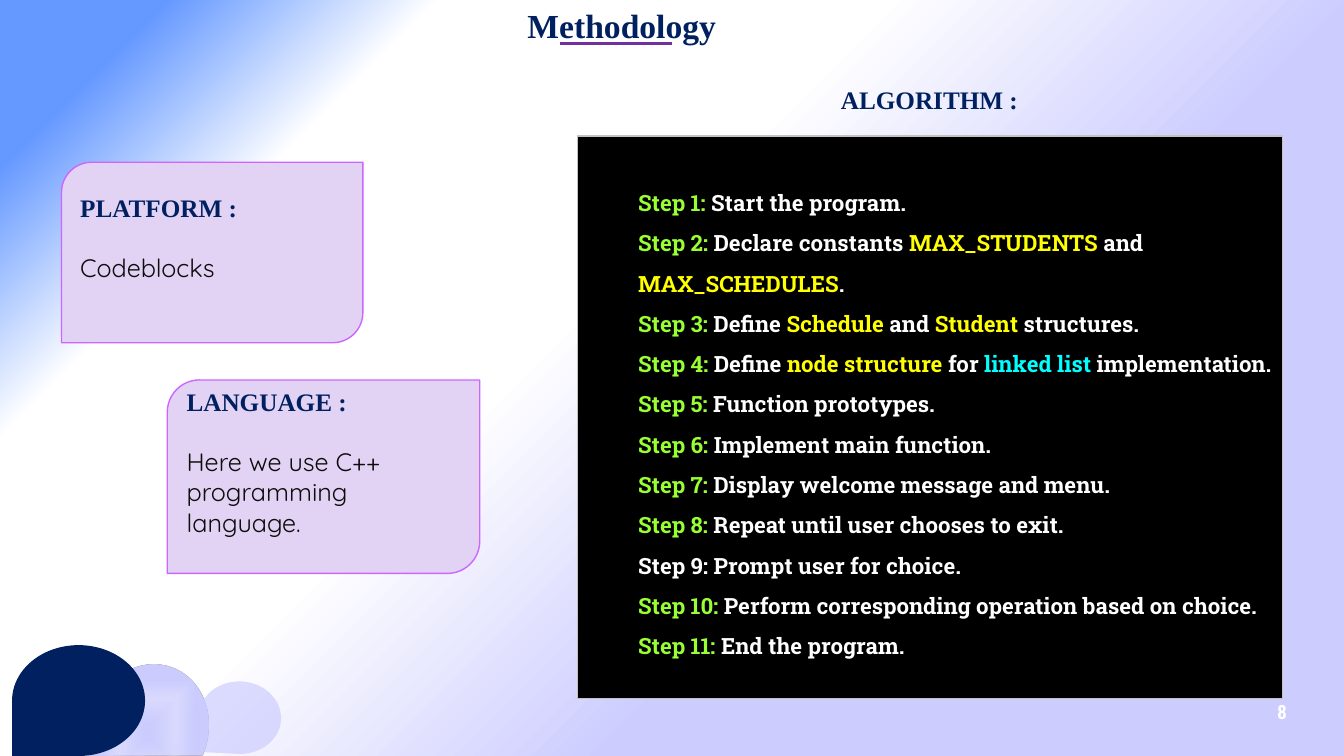
"""Build the Methodology slide: platform and language cards beside the algorithm steps."""
from dataclasses import dataclass

from lxml.etree import SubElement
from pptx import Presentation
from pptx.dml.color import RGBColor
from pptx.enum.shapes import MSO_CONNECTOR, MSO_SHAPE
from pptx.enum.text import MSO_ANCHOR, PP_ALIGN
from pptx.oxml.ns import qn
from pptx.util import Pt


@dataclass(frozen=True)
class Theme:
    navy: str = "002060"
    deep_navy: str = "001F5E"
    lavender: str = "CCCCFF"
    sky: str = "6699FF"
    white: str = "FFFFFF"
    black: str = "000000"
    panel_edge: str = "C3C1C1"
    card: str = "E2D3F5"
    card_edge: str = "CC66FF"
    underline: str = "7030A0"
    body: str = "0D0D0D"
    green: str = "99FF33"
    yellow: str = "FFFF00"
    cyan: str = "00FFFF"
    heading_font: str = "Times New Roman"
    body_font: str = "Quicksand"
    step_font: str = "Roboto Slab"
    number_font: str = "Roboto Condensed"
    title_size: int = 24
    text_size: int = 18
    step_size: int = 16
    number_size: int = 14


theme = Theme()


def style_run(run, font, size, color, bold=True):
    run.font.name = font
    run.font.size = Pt(size)
    run.font.bold = bold
    run.font.color.rgb = RGBColor.from_string(color)


def set_gradient(properties, stops, path, focus):
    solid = properties.find(qn("a:solidFill"))
    gradient = SubElement(properties, qn("a:gradFill"), rotWithShape="1")
    properties.replace(solid, gradient)
    stop_list = SubElement(gradient, qn("a:gsLst"))
    for position, color, opacity in stops:
        stop = SubElement(stop_list, qn("a:gs"), pos=str(position * 1000))
        tone = SubElement(stop, qn("a:srgbClr"), val=color)
        if opacity < 100:
            SubElement(tone, qn("a:alpha"), val=str(opacity * 1000))
    path_fill = SubElement(gradient, qn("a:path"), path=path)
    edges = {edge: str(share * 1000) for edge, share in zip("ltrb", focus)}
    SubElement(path_fill, qn("a:fillToRect"), **edges)


presentation = Presentation()
presentation.slide_width, presentation.slide_height = Pt(960), Pt(540)
slide = presentation.slides.add_slide(presentation.slide_layouts[6])
shapes = slide.shapes

slide.background.fill.solid()
slide.background.fill.fore_color.rgb = RGBColor.from_string(theme.white)
set_gradient(
    slide.element.find(".//" + qn("p:bgPr")),
    [(3, theme.lavender, 100), (35, theme.lavender, 71), (58, theme.white, 100),
     (71, theme.white, 100), (79, theme.white, 100), (92, theme.sky, 63), (100, theme.sky, 52)],
    "circle", (100, 100, 0, 0),
)

petals = []
for preset, box, rotation, color in [
    (MSO_SHAPE.CHORD, (56.2, 480.2, 97.9, 85), 113, theme.lavender),
    (MSO_SHAPE.TEAR, (8.6, 460.8, 95, 79.2), 180, theme.navy),
    (MSO_SHAPE.TEAR, (141.8, 486.7, 59, 51.8), 182.8, theme.lavender),
]:
    petal = shapes.add_shape(preset, *map(Pt, box))
    petal.shadow.inherit = False
    petal.rotation = rotation
    petal.fill.solid()
    petal.fill.fore_color.rgb = RGBColor.from_string(color)
    petal.line.fill.background()
    petals.append(petal)

set_gradient(
    petals[0].element.spPr,
    [(3, theme.lavender, 100), (35, theme.lavender, 71), (58, theme.lavender, 100),
     (71, theme.lavender, 100), (79, theme.lavender, 100), (92, theme.deep_navy, 37),
     (100, theme.navy, 100)],
    "shape", (50, 50, 50, 50),
)
pale_tone = petals[2].element.spPr.find(qn("a:solidFill"))[0]
SubElement(pale_tone, qn("a:alpha"), val="68000")

for label, box, inset, font, size, color, align in [
    ("Methodology", (365, 0, 198, 36), 11.8, theme.heading_font, theme.title_size,
     theme.navy, PP_ALIGN.LEFT),
    ("ALGORITHM :", (464.4, 56.9, 485.3, 28.8), 136.3, theme.heading_font, theme.text_size,
     theme.navy, PP_ALIGN.LEFT),
    ("8", (890.6, 493.9, 50.4, 28.8), 7.2, theme.number_font, theme.number_size,
     theme.white, PP_ALIGN.CENTER),
]:
    frame = shapes.add_textbox(*map(Pt, box)).text_frame
    frame.word_wrap = True
    frame.margin_left = Pt(inset)
    frame.vertical_anchor = MSO_ANCHOR.MIDDLE
    frame.text = label
    frame.paragraphs[0].alignment = align
    style_run(frame.paragraphs[0].runs[0], font, size, color)

underline = shapes.add_connector(MSO_CONNECTOR.STRAIGHT, Pt(400.3), Pt(31), Pt(480.2), Pt(31))
underline.line.color.rgb = RGBColor.from_string(theme.underline)
underline.line.width = Pt(1.75)
SubElement(underline.element.spPr, qn("a:effectLst"))

frames = []
for preset, box, color, edge in [
    (MSO_SHAPE.RECTANGLE, (412.6, 97.2, 503.3, 401.8), theme.black, theme.panel_edge),
    (MSO_SHAPE.ROUND_2_DIAG_RECTANGLE, (43.9, 115.9, 215.3, 128.9), theme.card, theme.card_edge),
    (MSO_SHAPE.ROUND_2_DIAG_RECTANGLE, (119.5, 271.4, 223.2, 138.2), theme.card, theme.card_edge),
]:
    panel = shapes.add_shape(preset, *map(Pt, box))
    panel.shadow.inherit = False
    panel.fill.solid()
    panel.fill.fore_color.rgb = RGBColor.from_string(color)
    panel.line.color.rgb = RGBColor.from_string(edge)
    panel.line.width = Pt(1)
    panel.text_frame.word_wrap = True
    panel.text_frame.vertical_anchor = MSO_ANCHOR.MIDDLE
    frames.append(panel.text_frame)
algorithm, *cards = frames

for card, heading, detail in zip(
    cards,
    ["PLATFORM :", "LANGUAGE :"],
    ["Codeblocks", "Here we use C++ programming language."],
):
    card.margin_bottom = Pt(24.6)
    card.text = heading + "\n" + detail
    title, body = card.paragraphs
    title.alignment = body.alignment = PP_ALIGN.LEFT
    body.space_before = Pt(21)
    style_run(title.runs[0], theme.heading_font, theme.text_size, theme.navy)
    style_run(body.runs[0], theme.body_font, theme.text_size, theme.body, bold=False)

green, white, yellow, cyan = theme.green, theme.white, theme.yellow, theme.cyan
steps = [
    [("Step 1:", green), (" Start the program.", white)],
    [("Step 2:", green), (" Declare constants ", white), ("MAX_STUDENTS ", yellow),
     ("and ", white), ("MAX_SCHEDULES", yellow), (".", white)],
    [("Step 3:", green), (" Define ", white), ("Schedule", yellow), (" and ", white),
     ("Student", yellow), (" structures.", white)],
    [("Step 4: ", green), ("Define ", white), ("node structure ", yellow), ("for ", white),
     ("linked list ", cyan), ("implementation.", white)],
    [("Step 5:", green), (" Function prototypes.", white)],
    [("Step 6: ", green), ("Implement main function.", white)],
    [("Step 7: ", green), ("Display welcome message and menu.", white)],
    [("Step 8:", green), (" Repeat until user chooses to exit.", white)],
    [("Step 9: Prompt user for choice.", white)],
    [("Step 10: ", green), ("Perform corresponding operation based on choice.", white)],
    [("Step 11: ", green), ("End the program.", white)],
]
algorithm.margin_left = Pt(43.2)
for index, step in enumerate(steps):
    paragraph = algorithm.add_paragraph() if index else algorithm.paragraphs[0]
    paragraph.alignment = PP_ALIGN.LEFT
    paragraph.line_spacing = 1.5
    for words, color in step:
        run = paragraph.add_run()
        run.text = words
        style_run(run, theme.step_font, theme.step_size, color)

presentation.save("out.pptx")
